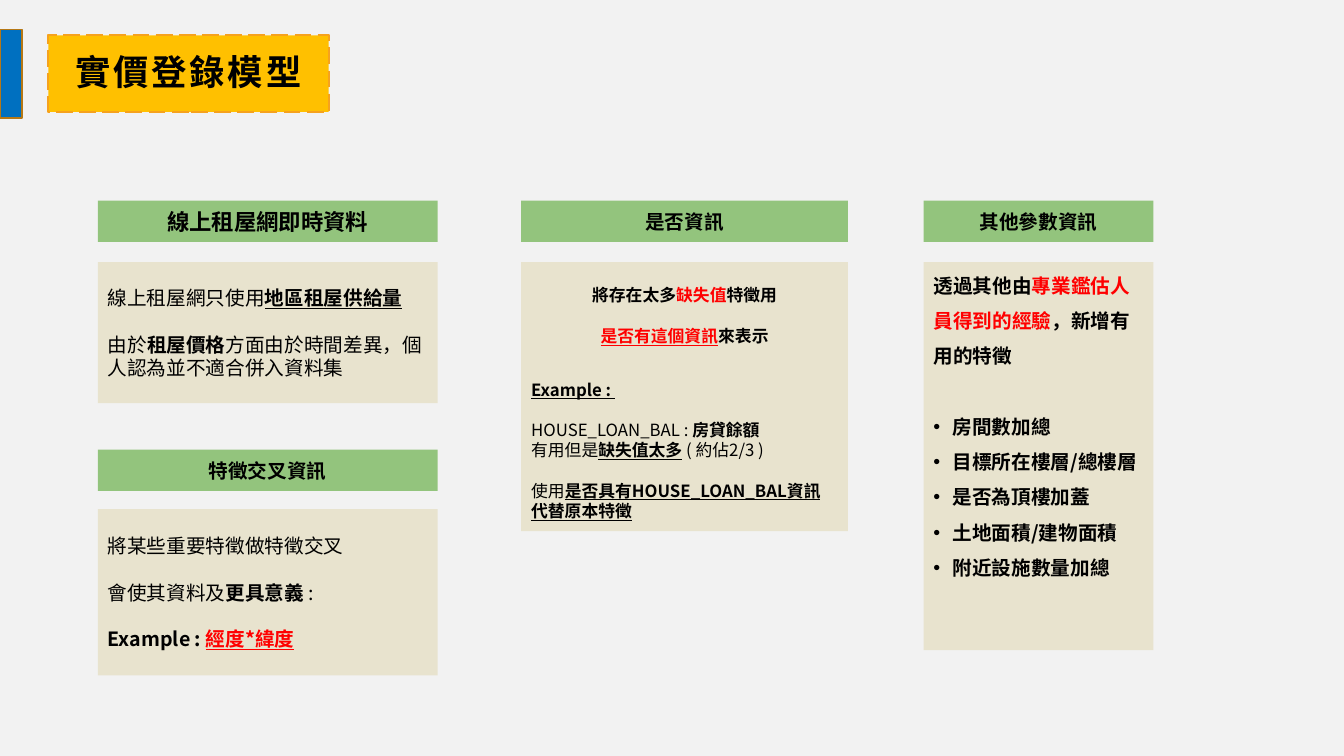
"""Build the slide on the actual-price registration model features."""
from lxml import etree
from pptx import Presentation
from pptx import util as u
from pptx.dml.color import RGBColor
from pptx.enum import dml, shapes, text
from pptx.oxml import ns

BLACK = RGBColor(0x00, 0x00, 0x00)
RED = RGBColor(0xFF, 0x00, 0x00)
BLUE = RGBColor(0x00, 0x70, 0xC0)
BROWN = RGBColor(0xB6, 0x78, 0x15)
AMBER = RGBColor(0xFF, 0xC0, 0x00)
ORANGE = RGBColor(0xF6, 0xA2, 0x1D)
GREEN = RGBColor(0x93, 0xC4, 0x7D)
SAND = RGBColor(0xE8, 0xE3, 0xCE)
PALE = RGBColor(0xF2, 0xF2, 0xF2)
HEADING_FONT = "Arial"
BODY_FONT = "Noto Sans CJK TC"

HEADER_TOP, HEADER_HEIGHT, CARD_TOP = 1.99, 0.41, 2.6
LEFT, LEFT_WIDTH = 0.97, 3.37
MIDDLE, MIDDLE_WIDTH = 5.17, 3.24
RIGHT, RIGHT_WIDTH = 9.16, 2.28


def write(para, spans, size=14, font=BODY_FONT, align=text.PP_ALIGN.LEFT,
          before=0, line=1.0, bullet=False, tracking=0):
    """Fill a paragraph with (text, marks) spans; marks are b, u and r for bold, underline, red."""
    if bullet:
        props = para._p.get_or_add_pPr()
        props.set("marL", str(u.Inches(0.19)))
        props.set("indent", str(u.Inches(-0.19)))
        colour = etree.SubElement(props, ns.qn("a:buClr"))
        etree.SubElement(colour, ns.qn("a:srgbClr")).set("val", str(BLACK))
        etree.SubElement(props, ns.qn("a:buFont")).set("typeface", "Arial")
        etree.SubElement(props, ns.qn("a:buChar")).set("char", "•")
    para.alignment = align
    para.line_spacing = line
    para.space_before = u.Pt(before)
    for words, marks in spans:
        span = para.add_run()
        span.text = words
        span.font.size = u.Pt(size)
        span.font.name = font
        span.font.bold = "b" in marks
        span.font.underline = "u" in marks
        span.font.color.rgb = RED if "r" in marks else BLACK
        if tracking:
            span.font._element.set("spc", str(tracking))


class FeatureSlide:
    """Hold the current slide and draw its elements in one style."""

    def __init__(self, deck):
        self.page = deck.slides.add_slide(deck.slide_layouts[5])
        self.page.background.fill.solid()
        self.page.background.fill.fore_color.rgb = PALE

    def box(self, left, top, width, height, fill):
        """Add a plain filled rectangle."""
        box = self.page.shapes.add_shape(
            shapes.MSO_SHAPE.RECTANGLE, u.Inches(left), u.Inches(top),
            u.Inches(width), u.Inches(height))
        box.shadow.inherit = False
        box.fill.solid()
        box.fill.fore_color.rgb = fill
        box.line.fill.background()
        return box

    def frame(self, box, inset=0.1):
        """Prepare the text frame of a box."""
        frame = box.text_frame
        frame.word_wrap = True
        frame.auto_size = text.MSO_AUTO_SIZE.NONE
        frame.vertical_anchor = text.MSO_ANCHOR.MIDDLE
        frame.margin_left = frame.margin_right = u.Inches(inset)
        frame.margin_top = frame.margin_bottom = u.Inches(inset)
        return frame

    def accent(self):
        """Add the bar at the left edge."""
        bar = self.box(0, 0.29, 0.22, 0.88, BLUE)
        bar.line.color.rgb = BROWN
        bar.line.width = u.Pt(1)

    def title(self, words):
        """Place and format the title."""
        title = self.page.shapes.title
        title.left, title.top = u.Inches(0.48), u.Inches(0.35)
        title.width, title.height = u.Inches(2.78), u.Inches(0.76)
        title.fill.solid()
        title.fill.fore_color.rgb = AMBER
        title.line.color.rgb = ORANGE
        title.line.width = u.Pt(1.5)
        title.line.dash_style = dml.MSO_LINE.LONG_DASH
        write(self.frame(title, 0.2).paragraphs[0], [(words, "b")], size=25.2,
              font="Calibri", align=text.PP_ALIGN.CENTER, line=0.9, tracking=200)

    def header(self, left, top, width, words, size=14):
        """Add a green section heading."""
        box = self.box(left, top, width, HEADER_HEIGHT, GREEN)
        write(self.frame(box).paragraphs[0], [(words, "b")], size=size,
              font=HEADING_FONT, align=text.PP_ALIGN.CENTER)

    def card(self, left, top, width, height, rows, **style):
        """Add a sand card of (spans, format) rows."""
        frame = self.frame(self.box(left, top, width, height, SAND))
        for index, (spans, extra) in enumerate(rows):
            para = frame.add_paragraph() if index else frame.paragraphs[0]
            write(para, spans, **{**style, **extra})
        return frame


def main():
    """Draw the slide and save it."""
    deck = Presentation()
    deck.slide_width, deck.slide_height = u.Inches(13.33), u.Inches(7.5)
    slide = FeatureSlide(deck)
    slide.accent()
    slide.title("實價登錄模型")

    gap = {"before": 16.5}
    slide.header(LEFT, HEADER_TOP, LEFT_WIDTH, "線上租屋網即時資料", size=16)
    slide.card(LEFT, CARD_TOP, LEFT_WIDTH, 1.4, [
        ([("線上租屋網只使用", ""), ("地區租屋供給量", "bu")], {}),
        ([("由於", ""), ("租屋價格", "b"),
          ("方面由於時間差異，個人認為並不適合併入資料集", "")], gap),
    ])
    slide.header(LEFT, 4.46, LEFT_WIDTH, "特徵交叉資訊")
    slide.card(LEFT, 5.05, LEFT_WIDTH, 1.65, [
        ([("將某些重要特徵做特徵交叉", "")], {}),
        ([("會使其資料及", ""), ("更具意義", "b"), (" :", "")], gap),
        ([("Example : ", "b"), ("經度*緯度", "bur")], gap),
    ])

    small_gap = {"before": 14.5}
    slide.header(MIDDLE, HEADER_TOP, MIDDLE_WIDTH, "是否資訊")
    slide.card(MIDDLE, CARD_TOP, MIDDLE_WIDTH, 1.06, [
        ([("將存在太多", "b"), ("缺失值", "br"), ("特徵用", "b")], {}),
        ([("是否有這個資訊", "bur"), ("來表示", "b")], small_gap),
    ], size=12, font=HEADING_FONT, align=text.PP_ALIGN.CENTER)
    slide.card(MIDDLE, 3.66, MIDDLE_WIDTH, 1.61, [
        ([("Example : ", "bu")], {}),
        ([("HOUSE_LOAN_BAL : ", ""), ("房貸餘額", "b")], small_gap),
        ([("有用但是", ""), ("缺失值太多", "bu"), (" ( 約佔2/3 )", "")], {}),
        ([("使用", ""), ("是否具有HOUSE_LOAN_BAL資訊", "bu")], small_gap),
        ([("代替原本特徵", "bu")], {}),
    ], size=12)

    features = ["房間數加總", "目標所在樓層/總樓層", "是否為頂樓加蓋",
                "土地面積/建物面積", "附近設施數量加總"]
    slide.header(RIGHT, HEADER_TOP, RIGHT_WIDTH, "其他參數資訊")
    frame = slide.card(RIGHT, CARD_TOP, RIGHT_WIDTH, 3.85, [
        ([("透過其他由", "b"), ("專業鑑估人員得到的經驗", "br"),
          ("，新增有用的特徵", "b")], {"font": HEADING_FONT}),
        *[([(feature, "b")], {"bullet": True, "before": 0 if index else 25})
          for index, feature in enumerate(features)],
    ], line=1.5)
    frame.vertical_anchor = text.MSO_ANCHOR.TOP
    frame.margin_top = 0

    deck.save("out.pptx")


if __name__ == "__main__":
    main()
